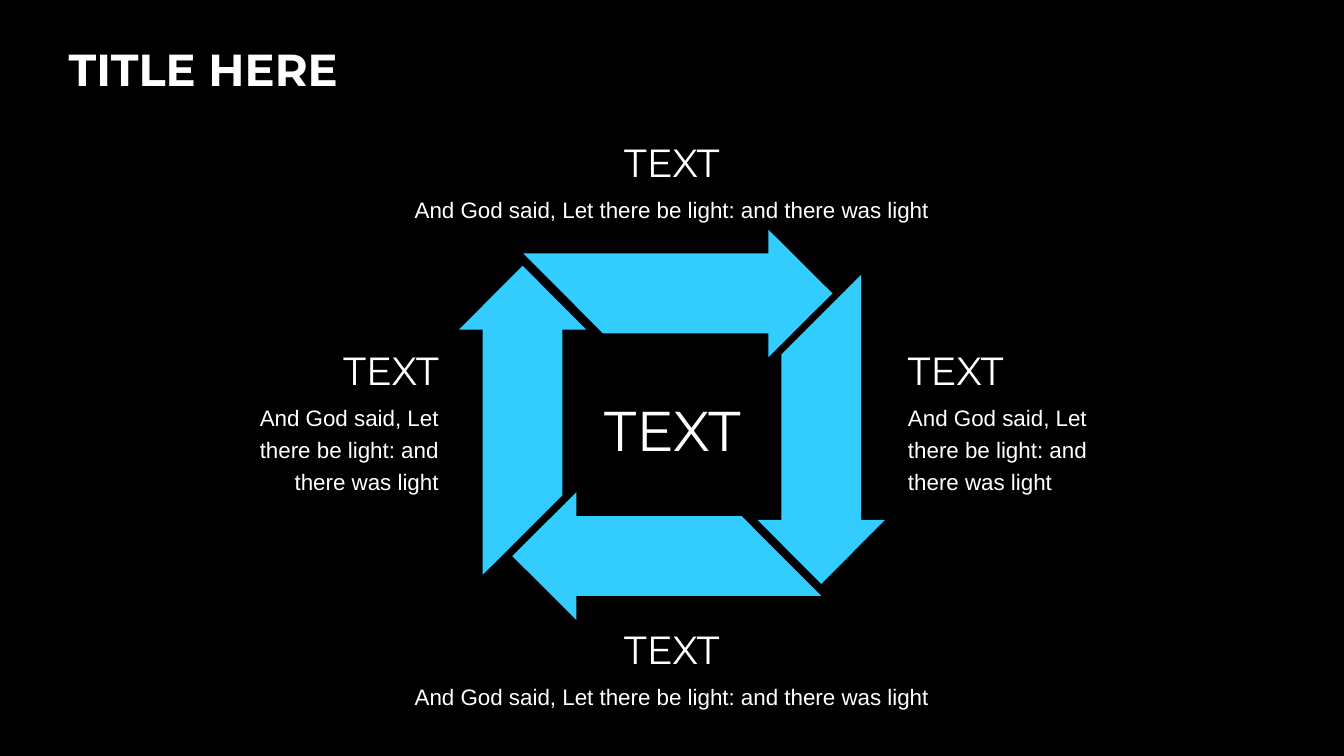
from pptx import Presentation
from pptx.dml.color import RGBColor
from pptx.enum.text import MSO_ANCHOR as Anchor, MSO_AUTO_SIZE as AutoSize, PP_ALIGN as Align
from pptx.util import Pt

BLACK = RGBColor(0x00, 0x00, 0x00)
WHITE = RGBColor(0xFF, 0xFF, 0xFF)
CYAN = RGBColor(0x33, 0xCC, 0xFF)

# Content: all lengths in points
TITLE = "TITLE HERE"
HEADING = "TEXT"
VERSE = "And God said, Let there be light: and there was light"
CENTRE_BOX = (399.6, 269.3, 161.3, 65.5)
CAPTIONS = [  # left, top, width, height, alignment
    (151.9, 236.9, 168.5, 121.7, Align.RIGHT),
    (277.9, 88.6, 403.9, 75.6, Align.CENTER),
    (277.9, 436.3, 403.9, 75.6, Align.CENTER),
    (641.5, 236.9, 168.5, 121.7, Align.LEFT),
]

# Arrow pointing right; each next one is a quarter turn further
ARROW_W, ARROW_H = 220.8, 91
HEAD_X, SLANT, BARB = 175.1, 56.9, 17
ARROW_CENTRES = [(484.2, 209.6), (586.6, 306.7), (476.3, 397.2), (373.3, 300.2)]

deck = Presentation()
deck.slide_width, deck.slide_height = Pt(960), Pt(540)
slide = deck.slides.add_slide(deck.slide_layouts[5])
slide.background.fill.solid()
slide.background.fill.fore_color.rgb = BLACK


def write(paragraph, text, size, font="Montserrat", align=Align.LEFT,
          bold=False, spacing=1.2, before=0, after=2):
    paragraph.alignment = align
    paragraph.line_spacing = spacing
    paragraph.space_before, paragraph.space_after = Pt(before), Pt(after)
    run = paragraph.add_run()
    run.text = text
    run.font.size, run.font.name, run.font.bold = Pt(size), font, bold
    run.font.color.rgb = WHITE


def add_frame(left, top, width, height):
    frame = slide.shapes.add_textbox(Pt(left), Pt(top), Pt(width), Pt(height)).text_frame
    frame.word_wrap = True
    frame.auto_size = AutoSize.SHAPE_TO_FIT_TEXT
    return frame


# Title
title = slide.shapes.title
title.left, title.top, title.width, title.height = Pt(41.8), Pt(20.2), Pt(877), Pt(56.9)
title.text_frame.vertical_anchor = Anchor.MIDDLE
write(title.text_frame.paragraphs[0], TITLE, 32, bold=True, spacing=1, after=0)

# Cycle of arrows
outline = [(HEAD_X, 0), (ARROW_W, ARROW_H / 2), (HEAD_X, ARROW_H), (HEAD_X, ARROW_H - BARB),
           (SLANT, ARROW_H - BARB), (0, BARB), (HEAD_X, BARB)]
for turn, (centre_x, centre_y) in enumerate(ARROW_CENTRES):
    left, top = centre_x - ARROW_W / 2, centre_y - ARROW_H / 2
    corners = [(Pt(left + x), Pt(top + y)) for x, y in outline]
    builder = slide.shapes.build_freeform(*corners[0])
    builder.add_line_segments(corners[1:], close=True)
    arrow = builder.convert_to_shape()
    arrow.rotation = 90 * turn
    arrow.shadow.inherit = False
    arrow.fill.solid()
    arrow.fill.fore_color.rgb = CYAN
    arrow.line.fill.background()

# Centre word
write(add_frame(*CENTRE_BOX).paragraphs[0], HEADING, 40, align=Align.CENTER)

# Captions around the cycle
for *box, align in CAPTIONS:
    caption = add_frame(*box)
    write(caption.paragraphs[0], HEADING, 28, align=align)
    write(caption.add_paragraph(), VERSE, 16, font="Arial", align=align, before=2)

deck.save("out.pptx")
